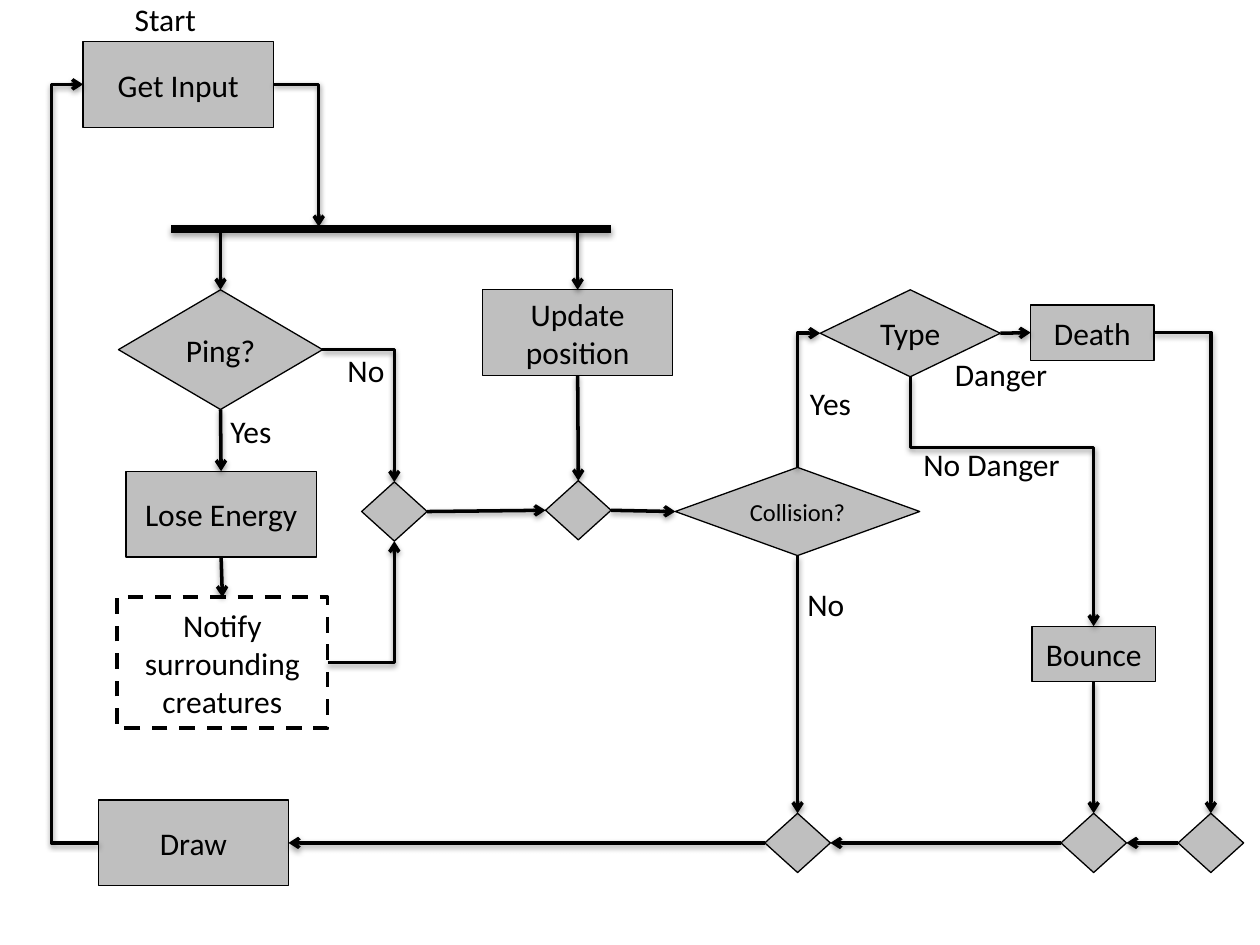
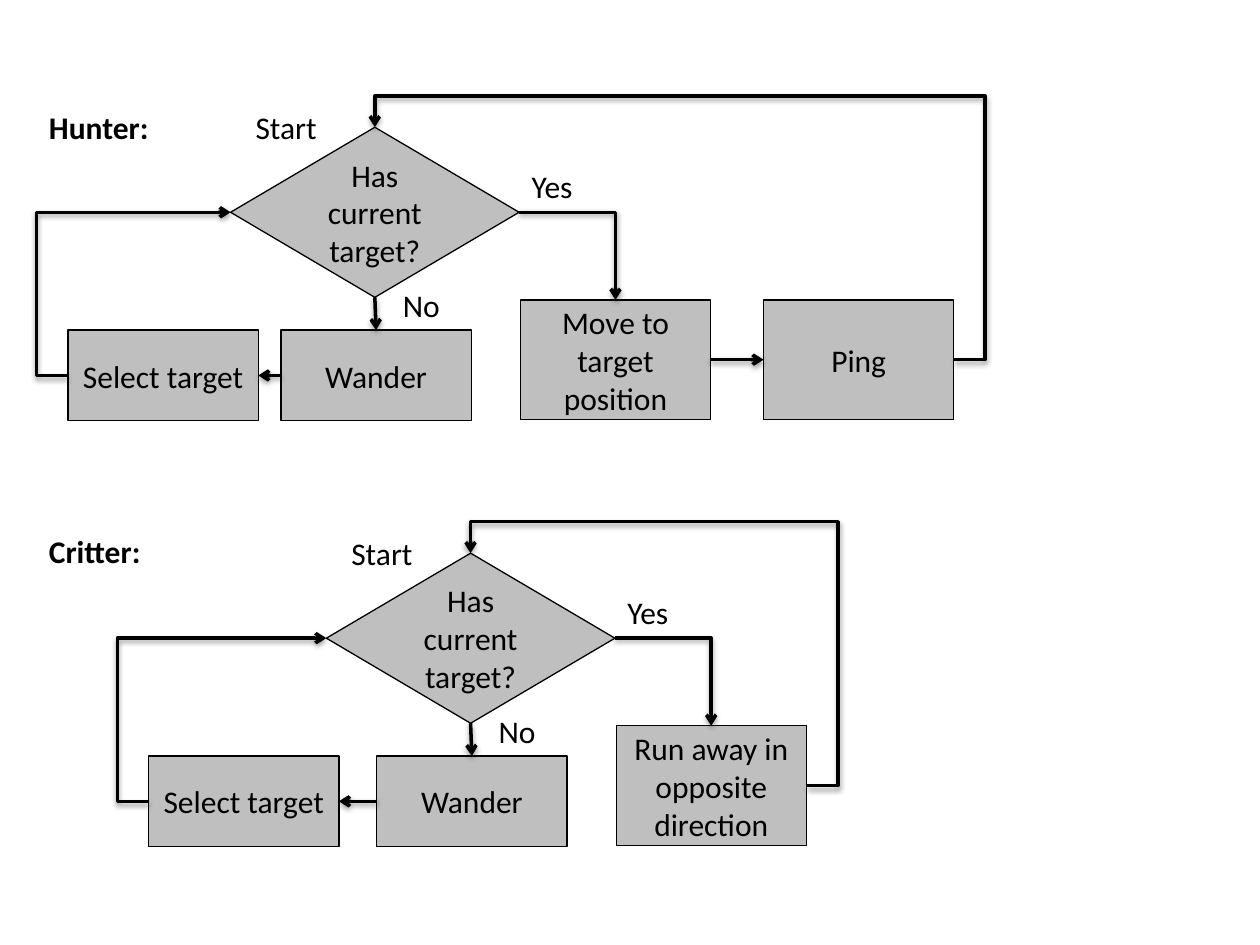
from dataclasses import dataclass

from lxml import etree
from pptx import Presentation
from pptx.dml.color import RGBColor
from pptx.enum.dml import MSO_LINE
from pptx.enum.shapes import MSO_CONNECTOR, MSO_SHAPE
from pptx.enum.text import MSO_ANCHOR, MSO_AUTO_SIZE, PP_ALIGN
from pptx.oxml.ns import qn
from pptx.util import Inches, Pt

RECT, DIAMOND = MSO_SHAPE.RECTANGLE, MSO_SHAPE.DIAMOND
STRAIGHT, ELBOW = MSO_CONNECTOR.STRAIGHT, MSO_CONNECTOR.ELBOW
CENTER, MIDDLE = PP_ALIGN.CENTER, MSO_ANCHOR.MIDDLE
FIT, DASH = MSO_AUTO_SIZE.SHAPE_TO_FIT_TEXT, MSO_LINE.DASH
TOP, LEFT, BOTTOM, RIGHT = range(4)


@dataclass(frozen=True)
class Theme:
    """Colours, type and line weights of both slides."""
    ink: RGBColor = RGBColor(0, 0, 0)
    gray: RGBColor = RGBColor(0xBF, 0xBF, 0xBF)
    white: RGBColor = RGBColor(255, 255, 255)
    face: str = "Calibri"
    body: Pt = Pt(18)
    small: Pt = Pt(14)
    edge: Pt = Pt(0.75)
    dash: Pt = Pt(2.25)
    wire: Pt = Pt(2)
    bar: Pt = Pt(4.5)


THEME = Theme()
STEP = (1.51, 0.68)
TALL = (1.51, 0.95)
WIDE = (1.51, 0.72)
SMALL = (0.98, 0.44)
JOIN = (0.52, 0.47)
LOOP = 0.25


def write(frame, text, size, bold=False):
    """Put one styled paragraph in a text frame and return it."""
    line = frame.paragraphs[0]
    line.text = text
    font = line.font
    font.name, font.size, font.bold = THEME.face, size, bold
    font.color.rgb = THEME.ink
    return line


def node(page, kind, left, top, size, text="", type_size=THEME.body):
    """Add a gray flowchart shape with centred text."""
    shape = page.shapes.add_shape(kind, Inches(left), Inches(top), *map(Inches, size))
    shape.shadow.inherit = False
    shape.fill.solid()
    shape.fill.fore_color.rgb = THEME.gray
    shape.line.color.rgb = THEME.ink
    shape.line.width = THEME.edge
    if text:
        shape.text_frame.vertical_anchor = MIDDLE
        write(shape.text_frame, text, type_size).alignment = CENTER
    return shape


def join(page, mid_x, mid_y):
    """Add a small merge diamond around a centre."""
    return node(page, DIAMOND, mid_x - JOIN[0] / 2, mid_y - JOIN[1] / 2, JOIN)


def label(page, text, left, top, width, bold=False):
    """Add a free text label."""
    box = page.shapes.add_textbox(*map(Inches, (left, top, width, 0.4)))
    box.text_frame.word_wrap = False
    box.text_frame.auto_size = FIT
    write(box.text_frame, text, THEME.body, bold)


def spot(shape, side):
    """Return the middle of one side of a shape."""
    across = {LEFT: 0, RIGHT: shape.width}.get(side, shape.width // 2)
    down = {TOP: 0, BOTTOM: shape.height}.get(side, shape.height // 2)
    return shape.left + across, shape.top + down


def wire(page, start, end, bend=0):
    """Add an arrow between two points, bent if a bend type is given."""
    line = page.shapes.add_connector(ELBOW if bend else STRAIGHT, *start, *end)
    line.line.color.rgb = THEME.ink
    line.line.width = THEME.wire
    etree.SubElement(line.line._get_or_add_ln(), qn("a:tailEnd"), type="arrow")
    if bend:
        line._element.xpath(".//a:prstGeom")[0].set("prst", f"bentConnector{bend}")
    return line


def stand(line, start, end):
    """Turn a rightward elbow so that it leaves its start vertically."""
    wide, high = end[0] - start[0], abs(end[1] - start[1])
    falls = end[1] > start[1]
    line.left = (start[0] + end[0] - high) // 2
    line.top = (start[1] + end[1] - wide) // 2
    line.width, line.height = high, wide
    frame = line._element.xpath(".//a:xfrm")[0]
    frame.set("rot", str((270 if falls else 90) * 60000))
    frame.set("flipH", "1")
    frame.set("flipV", "0" if falls else "1")


def link(page, first, out, last, into, *turns):
    """Join two shapes by an arrow that turns at the given places in inches."""
    start, end = spot(first, out), spot(last, into)
    bend = 2 + len(turns) if turns or (out + into) % 2 else 0
    line = wire(page, start, end, bend)
    line.begin_connect(first, out)
    line.end_connect(last, into)
    upright = out in (TOP, BOTTOM)
    if turns:
        guides = []
        for i, turn in enumerate(turns):
            axis = (i + upright) % 2
            part = (Inches(turn) - start[axis]) / (end[axis] - start[axis])
            guides.append((f"adj{i + 1}", round(part * 100000)))
        line._element.xpath(".//a:prstGeom")[0].rewrite_guides(guides)
    if bend and upright:
        stand(line, start, end)


def fork(page, left, right, top):
    """Add the thick bar where the flow splits."""
    bar = page.shapes.add_connector(STRAIGHT, *map(Inches, (left, top, right, top)))
    bar.line.color.rgb = THEME.ink
    bar.line.width = THEME.bar
    bar._element.xpath(".//a:effectRef")[0].set("idx", "2")


def game(page):
    """Draw the main game loop."""
    enter = node(page, RECT, 0.66, 0.33, STEP, "Get Input")
    ping = node(page, DIAMOND, 0.94, 2.3, (1.62, 0.95), "Ping?")
    move = node(page, RECT, 3.83, 2.3, STEP, "Update position")
    lose = node(page, RECT, 1, 3.74, STEP, "Lose Energy")
    tell = node(page, RECT, 0.93, 4.74, (1.67, 1.04), "Notify surrounding creatures")
    tell.fill.fore_color.rgb = THEME.white
    tell.line.width, tell.line.dash_style = THEME.dash, DASH
    hit = node(page, DIAMOND, 5.36, 3.71, (1.94, 0.7), "Collision?", THEME.small)
    kind = node(page, DIAMOND, 6.51, 2.3, (1.43, 0.69), "Type")
    death = node(page, RECT, 8.18, 2.42, SMALL, "Death")
    bounce = node(page, RECT, 8.19, 4.97, SMALL, "Bounce")
    draw = node(page, RECT, 0.78, 6.35, STEP, "Draw")
    pinged, moved = join(page, 3.13, 4.06), join(page, 4.59, 4.05)
    safe, alive, dead = [join(page, x, 6.69) for x in (6.33, 8.68, 9.61)]

    fork(page, 1.36, 4.85, 1.82)
    wire(page, spot(enter, RIGHT), (Inches(2.53), Inches(1.8)), 2)
    for goal in (ping, move):
        x, y = spot(goal, TOP)
        wire(page, (x, Inches(1.82)), (x, y))
    for first, last in ((ping, lose), (lose, tell), (move, moved),
                        (hit, safe), (bounce, alive)):
        link(page, first, BOTTOM, last, TOP)
    for first, last in ((pinged, moved), (moved, hit), (kind, death)):
        link(page, first, RIGHT, last, LEFT)
    for first, last in ((dead, alive), (alive, safe), (safe, draw)):
        link(page, first, LEFT, last, RIGHT)
    link(page, ping, RIGHT, pinged, TOP)
    link(page, tell, RIGHT, pinged, BOTTOM)
    link(page, death, RIGHT, dead, TOP)
    link(page, hit, TOP, kind, LEFT)
    link(page, kind, BOTTOM, bounce, TOP, 3.55)
    link(page, draw, LEFT, enter, LEFT, 0.66 - LOOP)

    for text, left, top, width in (
            ("Start", 0.97, -0.05, 0.7), ("No", 2.66, 2.74, 0.5),
            ("Yes", 1.73, 3.22, 0.55), ("Yes", 6.33, 3, 0.55),
            ("No", 6.31, 4.59, 0.5), ("Danger", 7.48, 2.77, 0.95),
            ("No Danger", 7.23, 3.48, 1.3)):
        label(page, text, left, top, width)


def chase(page, left, top, pick_left, act, then=""):
    """Draw one target loop from the corner of its decision diamond."""
    ask = node(page, DIAMOND, left, top, (2.29, 1.35), "Has current target?")
    roam = node(page, RECT, left + 0.4, top + 1.61, WIDE, "Wander")
    pick = node(page, RECT, pick_left, top + 1.61, WIDE, "Select target")
    end = node(page, RECT, left + 2.3, top + 1.37, TALL, act)
    edge = left + 2.3 + TALL[0]
    link(page, ask, RIGHT, end, TOP)
    if then:
        more = node(page, RECT, edge + 0.42, top + 1.37, TALL, then)
        link(page, end, RIGHT, more, LEFT)
        end, edge = more, edge + 0.42 + TALL[0]
    link(page, end, RIGHT, ask, TOP, edge + LOOP, top - LOOP)
    link(page, ask, BOTTOM, roam, TOP)
    link(page, roam, LEFT, pick, RIGHT)
    link(page, pick, LEFT, ask, LEFT, pick_left - LOOP)
    label(page, "Start", left + 0.1, top - 0.2, 0.7)
    label(page, "No", left + 1.27, top + 1.21, 0.5)
    label(page, "Yes", left + 2.29, top + 0.27, 0.55)


def main():
    """Build both slides and save them."""
    deck = Presentation()
    deck.slide_width, deck.slide_height = Inches(10), Inches(7.5)
    loop, minds = [deck.slides.add_slide(deck.slide_layouts[6]) for _ in range(2)]
    game(loop)
    label(minds, "Hunter:", 0.29, 0.81, 1.01, True)
    chase(minds, 1.83, 1.01, 0.54, "Move to target position", "Ping")
    label(minds, "Critter:", 0.29, 4.17, 0.94, True)
    chase(minds, 2.59, 4.39, 1.18, "Run away in opposite direction")
    deck.save("out.pptx")


if __name__ == "__main__":
    main()
